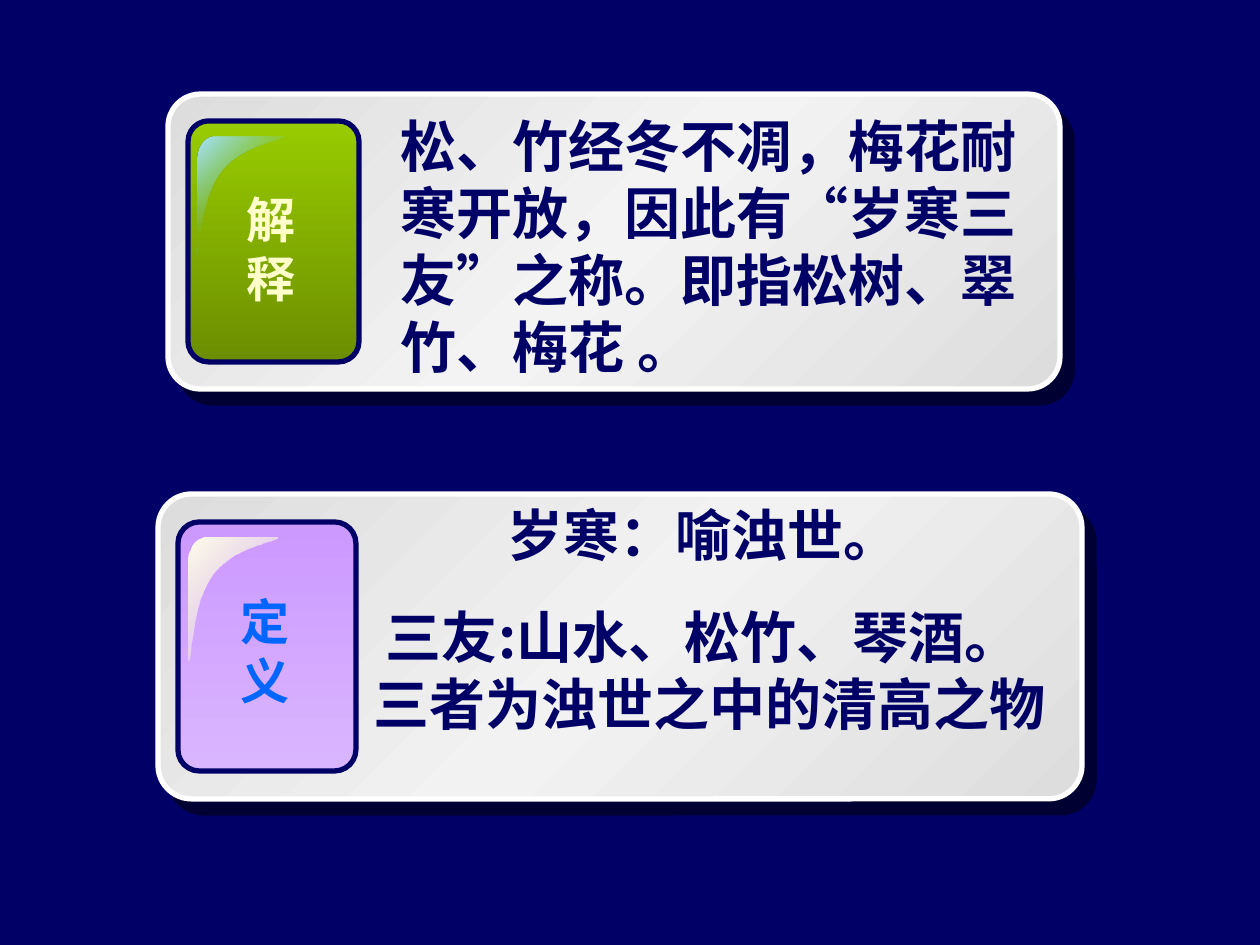
from dataclasses import dataclass
from typing import NamedTuple

from lxml.etree import SubElement
from pptx import Presentation
from pptx.dml.color import RGBColor
from pptx.enum.shapes import MSO_SHAPE
from pptx.enum.text import MSO_AUTO_SIZE, PP_ALIGN
from pptx.oxml import parse_xml
from pptx.oxml.ns import nsdecls, qn
from pptx.util import Emu, Pt

PX = 914400 / 126
NAVY = "000066"
WHITE = "FFFFFF"
CURVE_STEPS = 12
GLOSS_START = (0.2, 0)
GLOSS_CURVES = [
    ((0.09, 0), (0, 0.08), (0, 0.2)),
    ((0, 0.46), (0, 0.72), (0, 0.98)),
    ((0.04, 0.99), (0.03, 0.51), (0.28, 0.29)),
    ((0.53, 0.06), (1.01, 0.04), (1, 0)),
]


class Box(NamedTuple):
    left: int
    top: int
    width: int
    height: int


class Stop(NamedTuple):
    position: int
    color: str
    opacity: int = 100


class Passage(NamedTuple):
    wording: str
    space_before: int = 0


@dataclass
class Card:
    panel: Box
    panel_middle: str
    tile: Box
    tile_stops: list[Stop]
    gloss: Box
    gloss_stops: list[Stop]
    label: Box
    heading: str
    heading_color: str
    body: Box
    passages: list[Passage]
    alignment: PP_ALIGN


CARDS = [
    Card(
        panel=Box(168, 94, 892, 295),
        panel_middle="F3F3F3",
        tile=Box(188, 121, 171, 241),
        tile_stops=[Stop(0, "99CC00"), Stop(100, "6B8E00")],
        gloss=Box(198, 137, 86, 121),
        gloss_stops=[Stop(0, "ACE3FF"), Stop(50, "66CCFF", 0), Stop(100, "ACE3FF")],
        label=Box(210, 183, 122, 72),
        heading="解释",
        heading_color="FFFFCC",
        body=Box(388, 105, 662, 282),
        passages=[Passage("松、竹经冬不凋，梅花耐寒开放，因此有“岁寒三友”之称。即指松树、翠竹、梅花 。")],
        alignment=PP_ALIGN.LEFT,
    ),
    Card(
        panel=Box(158, 494, 924, 305),
        panel_middle="F2F2F2",
        tile=Box(178, 522, 178, 249),
        tile_stops=[Stop(0, "CC99FF"), Stop(100, "DAB5FF")],
        gloss=Box(189, 538, 88, 125),
        gloss_stops=[Stop(0, "FFFFE9"), Stop(100, "FFFFCC", 0)],
        label=Box(204, 585, 122, 72),
        heading="定义",
        heading_color="0066FF",
        body=Box(336, 494, 735, 249),
        passages=[
            Passage("岁寒：喻浊世。"),
            Passage("三友:山水、松竹、琴酒。", 20),
            Passage(" 三者为浊世之中的清高之物"),
        ],
        alignment=PP_ALIGN.CENTER,
    ),
]


def emu(length: float) -> Emu:
    return Emu(round(length * PX))


def color(code: str) -> RGBColor:
    return RGBColor.from_string(code)


def apply(target, values: dict) -> None:
    for name, value in values.items():
        setattr(target, name, value)


def shadow_effect(code: str, distance: float, angle: int, opacity: int):
    return parse_xml(
        f'<a:effectLst {nsdecls("a")}><a:outerShdw blurRad="0" dist="{Pt(distance)}" '
        f'dir="{angle * 60000}" algn="ctr" rotWithShape="0"><a:srgbClr val="{code}">'
        f'<a:alpha val="{opacity * 1000}"/></a:srgbClr></a:outerShdw></a:effectLst>'
    )


def fill_gradient(shape, stops: list[Stop], angle: int) -> None:
    shape.fill.background()
    empty_fill = shape.element.spPr.find(qn("a:noFill"))
    stop_list = "".join(
        f'<a:gs pos="{stop.position * 1000}"><a:srgbClr val="{stop.color}">'
        f'<a:alpha val="{stop.opacity * 1000}"/></a:srgbClr></a:gs>'
        for stop in stops
    )
    gradient = parse_xml(
        f'<a:gradFill {nsdecls("a")} rotWithShape="1"><a:gsLst>{stop_list}</a:gsLst>'
        f'<a:lin ang="{angle * 60000}" scaled="0"/></a:gradFill>'
    )
    empty_fill.getparent().replace(empty_fill, gradient)


def draw_rounded(slide, box: Box, rounding: float, stops: list[Stop], angle: int, outline: str):
    rounded = slide.shapes.add_shape(MSO_SHAPE.ROUNDED_RECTANGLE, *map(emu, box))
    rounded.adjustments[0] = rounding
    rounded.shadow.inherit = False
    fill_gradient(rounded, stops, angle)
    rounded.line.color.rgb = color(outline)
    rounded.line.width = Pt(3)
    return rounded


def curve_point(points, t: float) -> tuple[float, float]:
    weights = ((1 - t) ** 3, 3 * t * (1 - t) ** 2, 3 * t**2 * (1 - t), t**3)
    x, y = (sum(w * p[axis] for w, p in zip(weights, points)) for axis in (0, 1))
    return x, y


def draw_gloss(slide, box: Box, stops: list[Stop]) -> None:
    outline, start = [], GLOSS_START
    for curve in GLOSS_CURVES:
        outline += [curve_point((start, *curve), i / CURVE_STEPS) for i in range(1, CURVE_STEPS + 1)]
        start = curve[-1]
    corners = [(emu(box.left + x * box.width), emu(box.top + y * box.height)) for x, y in outline]
    first = emu(box.left + GLOSS_START[0] * box.width), emu(box.top)
    builder = slide.shapes.build_freeform(*first)
    builder.add_line_segments(corners, close=True)
    gloss = builder.convert_to_shape()
    gloss.shadow.inherit = False
    fill_gradient(gloss, stops, 45)
    gloss.line.fill.background()


def write_text(slide, box: Box, passages: list[Passage], alignment, wrap: bool, font: dict, ink: str):
    frame = slide.shapes.add_textbox(*map(emu, box)).text_frame
    apply(frame, {"word_wrap": wrap, "auto_size": MSO_AUTO_SIZE.SHAPE_TO_FIT_TEXT})
    for index, passage in enumerate(passages):
        paragraph = frame.paragraphs[0] if index == 0 else frame.add_paragraph()
        apply(paragraph, {"alignment": alignment, "space_before": Pt(passage.space_before)})
        run = paragraph.add_run()
        run.text = passage.wording
        apply(run.font, font)
        run.font.color.rgb = color(ink)
    return frame


def draw_card(slide, card: Card) -> None:
    panel_stops = [Stop(0, "DDDDDD"), Stop(50, card.panel_middle), Stop(100, "DDDDDD")]
    panel = draw_rounded(slide, card.panel, 0.11, panel_stops, 45, WHITE)
    properties = panel.element.spPr
    properties.replace(properties.find(qn("a:effectLst")), shadow_effect("000000", 10.6, 49, 50))
    draw_rounded(slide, card.tile, 0.12, card.tile_stops, 90, NAVY)
    draw_gloss(slide, card.gloss, card.gloss_stops)

    heading_font = {"name": "Arial", "size": Pt(28), "bold": True}
    label = write_text(slide, card.label, [Passage(card.heading)], PP_ALIGN.CENTER, False,
                       heading_font, card.heading_color)
    heading_fill = label.paragraphs[0].runs[0].font.fill._xPr.find(qn("a:solidFill"))
    heading_fill.addnext(shadow_effect("000000", 2, 45, 100))


def write_body(slide, card: Card) -> None:
    body_font = {"name": "Noto Sans CJK SC", "size": Pt(32), "bold": True}
    body = write_text(slide, card.body, card.passages, card.alignment, True, body_font, NAVY)
    for paragraph in body.paragraphs:
        for run in paragraph.runs:
            SubElement(run.font._element, qn("a:ea"), typeface=body_font["name"])


def main() -> None:
    deck = Presentation()
    apply(deck, {"slide_width": emu(1260), "slide_height": emu(945)})
    slide = deck.slides.add_slide(deck.slide_layouts[6])
    slide.background.fill.solid()
    slide.background.fill.fore_color.rgb = color(NAVY)
    for card in CARDS:
        draw_card(slide, card)
    for card in CARDS:
        write_body(slide, card)
    deck.save("out.pptx")


if __name__ == "__main__":
    main()
